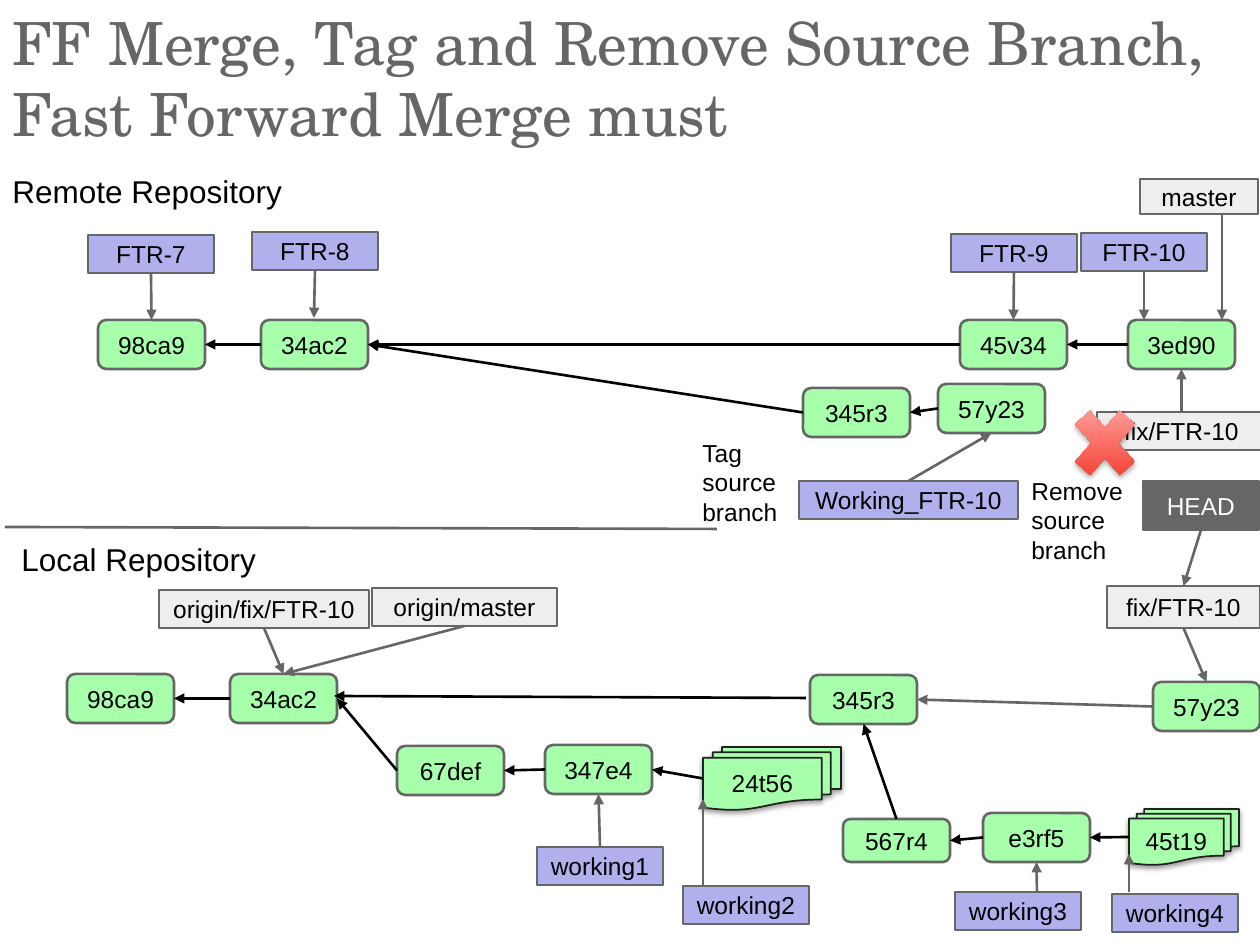
from lxml.etree import SubElement
from pptx import Presentation
from pptx.dml.color import RGBColor
from pptx.enum.shapes import MSO_CONNECTOR, MSO_SHAPE
from pptx.enum.text import MSO_ANCHOR, PP_ALIGN
from pptx.oxml.ns import qn
from pptx.util import Emu, Pt

PX = 914400 / 126
COLORS = {
    "commit": "A7FFAB", "tag": "B0B0EC", "branch": "EEEEEE", "gray": "666666",
    "black": "000000", "white": "FFFFFF", "stack_line": "212121",
    "cross_dark": "F42F1E", "cross_light": "FFB0AE",
}
TOP, LEFT, BOTTOM, RIGHT = range(4)


def px(*lengths):
    return [Emu(round(length * PX)) for length in lengths]


def color(name):
    return RGBColor.from_string(COLORS[name])


def write_text(frame, text, *, size=14, font="Arial", ink="black", align=PP_ALIGN.LEFT,
               anchor=MSO_ANCHOR.TOP, wrap=True, margin=6):
    frame.word_wrap = wrap
    frame.vertical_anchor = anchor
    frame.margin_top, frame.margin_bottom = px(margin, margin)
    frame.text = text
    for paragraph in frame.paragraphs:
        paragraph.alignment = align
        paragraph.font.size = Pt(size)
        paragraph.font.name = font
        paragraph.font.color.rgb = color(ink)


def add_shadow(shape, blur, distance, opacity):
    """Give the shape a soft black shadow straight below it."""
    shape.shadow.inherit = False
    effects = shape._element.spPr.find(qn("a:effectLst"))
    shadow = SubElement(effects, qn("a:outerShdw"), blurRad=str(Pt(blur)),
                        dist=str(Pt(distance)), dir="5400000", rotWithShape="0")
    shade = SubElement(shadow, qn("a:srgbClr"), val=COLORS["black"])
    SubElement(shade, qn("a:alpha"), val=str(opacity * 1000))


class Diagram:
    def __init__(self, slide):
        self.slide = slide

    def text(self, text, left, top, width, height, **style):
        box = self.slide.shapes.add_textbox(*px(left, top, width, height))
        write_text(box.text_frame, text, **style)

    def box(self, kind, text, bounds, fill, line="gray", line_width=1.5, ink="black"):
        shape = self.slide.shapes.add_shape(kind, *px(*bounds))
        shape.shadow.inherit = False
        shape.fill.solid()
        shape.fill.fore_color.rgb = color(fill)
        shape.line.color.rgb = color(line)
        shape.line.width = Pt(line_width)
        write_text(shape.text_frame, text, ink=ink, align=PP_ALIGN.CENTER,
                   anchor=MSO_ANCHOR.MIDDLE)
        return shape

    def commit(self, text, left, top, height=49):
        return self.box(MSO_SHAPE.ROUNDED_RECTANGLE, text, (left, top, 107, height), "commit")

    def tag(self, text, left, top, width=126):
        return self.box(MSO_SHAPE.RECTANGLE, text, (left, top, width, 38), "tag")

    def branch(self, text, left, top, width, height=38):
        return self.box(MSO_SHAPE.RECTANGLE, text, (left, top, width, height), "branch")

    def commit_stack(self, text, *bounds):
        shape = self.box(MSO_SHAPE.FLOWCHART_MULTIDOCUMENT, text, bounds, "commit",
                         line="stack_line", line_width=1)
        add_shadow(shape, 3.1, 1.6, 38)
        return shape

    def cross(self, *bounds):
        shape = self.slide.shapes.add_shape(MSO_SHAPE.MATH_MULTIPLY, *px(*bounds))
        shape.fill.gradient()
        shape.fill.gradient_angle = 90
        for stop, name in zip(shape.fill.gradient_stops, ("cross_dark", "cross_light")):
            stop.color.rgb = color(name)
        shape.line.fill.background()
        add_shadow(shape, 3.1, 1.8, 35)

    def line(self, start, end, ink="gray", arrow=True):
        """Join two ends, each a (shape, side) pair or an (x, y) point."""
        points = [end_ if isinstance(end_[0], int) else (0, 0) for end_ in (start, end)]
        connector = self.slide.shapes.add_connector(
            MSO_CONNECTOR.STRAIGHT, *px(*points[0], *points[1]))
        if not isinstance(start[0], int):
            connector.begin_connect(*start)
        if not isinstance(end[0], int):
            connector.end_connect(*end)
        connector.line.color.rgb = color(ink)
        connector.line.width = Pt(1.5)
        if arrow:
            SubElement(connector.line._get_or_add_ln(), qn("a:tailEnd"), type="triangle")
        SubElement(connector._element.spPr, qn("a:effectLst"))


def draw_remote(diagram):
    diagram.text("Remote Repository", 0, 159, 314, 76, size=18, margin=13)
    first, base, ninth, tip = [
        diagram.commit(text, left, 320)
        for text, left in (("98ca9", 98), ("34ac2", 261), ("45v34", 960), ("3ed90", 1128))]
    work_start = diagram.commit("345r3", 803, 388)
    work_end = diagram.commit("57y23", 938, 384)
    for child, parent in ((base, first), (ninth, base), (tip, ninth),
                          (work_start, base), (work_end, work_start)):
        diagram.line((child, LEFT), (parent, RIGHT), "black")

    for text, left, top, target in (
            ("FTR-7", 88, 235, (first, TOP)), ("FTR-8", 252, 232, (314, 318)),
            ("FTR-9", 951, 234, (ninth, TOP)), ("FTR-10", 1081, 233, (1144, 320))):
        diagram.line((diagram.tag(text, left, top), BOTTOM), target)
    working = diagram.tag("Working_FTR-10", 799, 481, 219)
    diagram.line((working, TOP), (work_end, BOTTOM))

    diagram.branch("master", 1140, 179, 118, 35)
    diagram.line((1222, 214), (1222, 320))
    fix = diagram.branch("fix/FTR-10", 1097, 412, 169)
    diagram.line((fix, TOP), (tip, BOTTOM))
    diagram.cross(1062, 394, 86, 98)
    diagram.text("Remove source branch", 1019, 470, 125, 102)
    diagram.text("Tag\nsource\nbranch", 690, 432, 101, 102, wrap=False)


def draw_local(diagram):
    diagram.text("Local Repository", 9, 527, 330, 76, size=18, margin=13)
    first = diagram.commit("98ca9", 67, 674)
    base = diagram.commit("34ac2", 230, 674)
    side_start = diagram.commit("67def", 397, 746)
    side_end = diagram.commit("347e4", 545, 745)
    side_stack = diagram.commit_stack("24t56", 703, 747, 138, 63)
    work_start = diagram.commit("345r3", 810, 675)
    work_end = diagram.commit("57y23", 1153, 682)
    fork_start = diagram.commit("567r4", 843, 819, 43)
    fork_end = diagram.commit("e3rf5", 983, 813)
    fork_stack = diagram.commit_stack("45t19", 1129, 809, 110, 56)
    for child, parent in ((base, first), (side_start, base), (side_end, side_start),
                          (side_stack, side_end), (fork_end, fork_start),
                          (fork_stack, fork_end)):
        diagram.line((child, LEFT), (parent, RIGHT), "black")
    diagram.line((806, 698), (334, 696), "black")
    diagram.line((fork_start, TOP), (work_start, BOTTOM), "black")
    diagram.line((work_end, LEFT), (work_start, RIGHT))

    working1 = diagram.tag("working1", 537, 847)
    diagram.tag("working2", 683, 886)
    diagram.tag("working3", 955, 892)
    diagram.tag("working4", 1112, 894)
    diagram.line((working1, TOP), (side_end, BOTTOM))
    diagram.line((703, 886), (703, 799))
    diagram.line((1037, 892), (fork_end, BOTTOM))
    diagram.line((1129, 892), (1129, 854))

    origin_fix = diagram.branch("origin/fix/FTR-10", 159, 590, 210)
    origin_master = diagram.branch("origin/master", 372, 588, 185)
    for origin in (origin_fix, origin_master):
        diagram.line((origin, BOTTOM), (base, TOP))
    fix = diagram.branch("fix/FTR-10", 1107, 586, 153, 42)
    head = diagram.box(MSO_SHAPE.RECTANGLE, "HEAD", (1143, 481, 116, 49), "gray",
                       line_width=0.75, ink="white")
    diagram.line((head, BOTTOM), (fix, TOP))
    diagram.line((fix, BOTTOM), (work_end, TOP))


def main():
    presentation = Presentation()
    presentation.slide_width, presentation.slide_height = px(1260, 945)
    diagram = Diagram(presentation.slides.add_slide(presentation.slide_layouts[6]))
    diagram.text("FF Merge, Tag and Remove Source Branch, Fast Forward Merge must",
                 0, 0, 1260, 63, size=34, font="TeX Gyre Schola", ink="gray")
    draw_remote(diagram)
    diagram.line((5, 527), (717, 529), arrow=False)
    draw_local(diagram)
    presentation.save("out.pptx")


if __name__ == "__main__":
    main()
